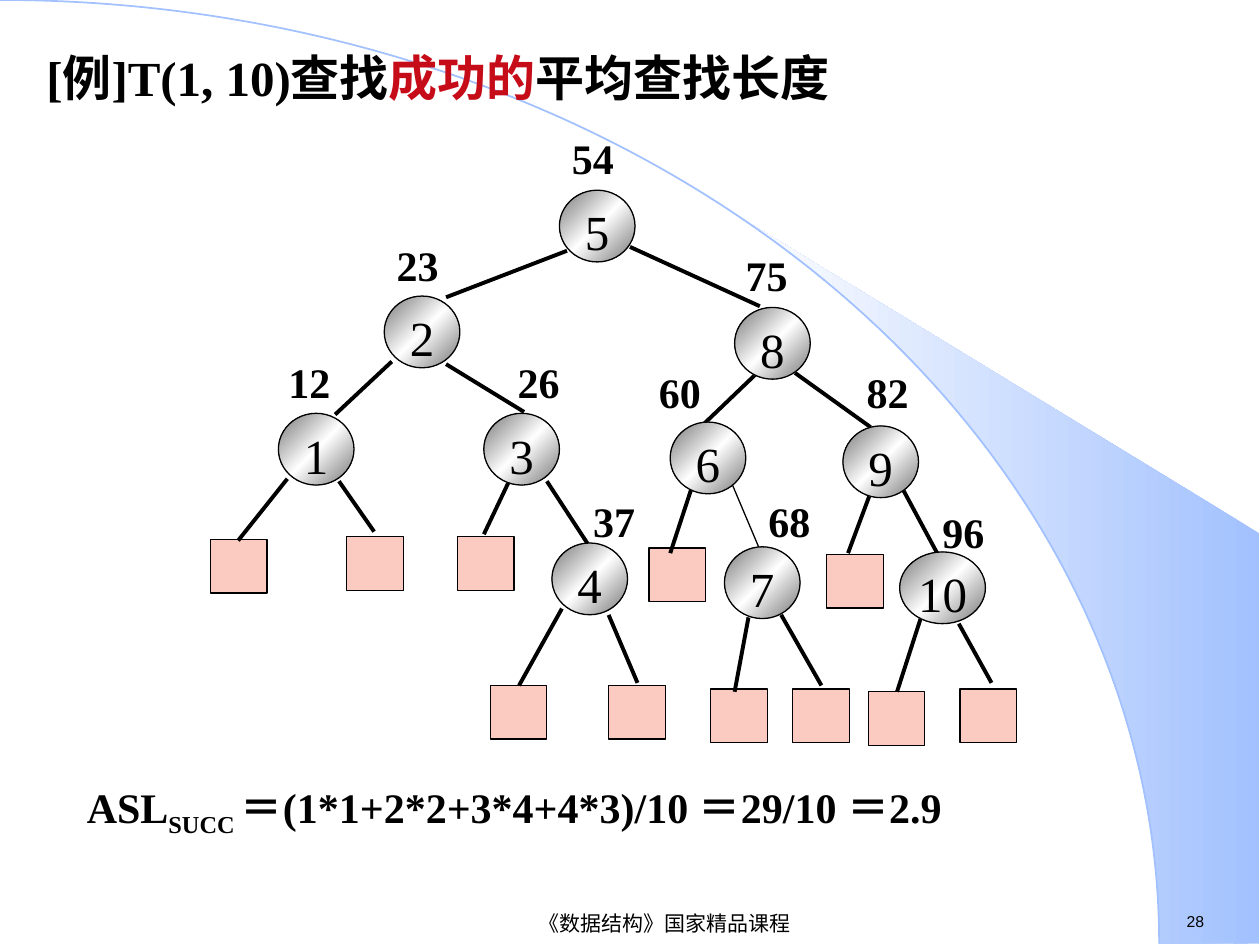
import math

import pptx
import pptx.util
from pptx.dml.color import RGBColor
from pptx.enum.shapes import MSO_CONNECTOR, MSO_SHAPE
from pptx.enum.text import MSO_ANCHOR, PP_ALIGN
from pptx.oxml.ns import qn
from pptx.oxml.xmlchemy import OxmlElement

Pt = pptx.util.Pt

THEME = {
    "black": "000000", "red": "C60C19", "blue": "A2C1FE", "pale": "FEFEFE",
    "pink": "FBCBC1", "gray": "757575", "white": "FFFFFF",
    "serif": "Times New Roman", "sans": "Arial",
    "title": 28, "key": 28, "value": 24, "footer": 12, "number": 9,
}


def write(sp, runs, size, font="serif", bold=False, align=PP_ALIGN.LEFT,
          anchor=MSO_ANCHOR.TOP, inset=(7.2, 3.6)):
    """Fill a shape with one paragraph of (text, colour, baseline) runs."""
    tf = sp.text_frame
    dx, dy = inset
    frame = {"word_wrap": True, "vertical_anchor": anchor,
             "margin_left": Pt(dx), "margin_right": Pt(dx),
             "margin_top": Pt(dy), "margin_bottom": Pt(dy)}
    for name, value in frame.items():
        setattr(tf, name, value)
    p = tf.paragraphs[0]
    p.alignment = align
    for text, color, baseline in runs:
        r = p.add_run()
        r.text = text
        style = {"name": THEME[font], "size": Pt(THEME[size]), "bold": bold}
        for name, value in style.items():
            setattr(r.font, name, value)
        r.font.color.rgb = RGBColor.from_string(THEME[color])
        if baseline:
            r.font._element.set("baseline", str(baseline * 1000))


def shade(sp, colors, angle):
    """Give a shape a linear gradient with evenly spaced colours."""
    sp.fill.gradient()
    sp.fill.gradient_angle = angle
    stops = sp._element.spPr.find(".//" + qn("a:gsLst"))
    for gs in list(stops):
        stops.remove(gs)
    for i, color in enumerate(colors):
        gs = OxmlElement("a:gs")
        gs.set("pos", str(100000 * i // (len(colors) - 1)))
        clr = OxmlElement("a:srgbClr")
        clr.set("val", THEME[color])
        gs.append(clr)
        stops.append(gs)


prs = pptx.Presentation()
prs.slide_width, prs.slide_height = Pt(720), Pt(540)
s = prs.slides.add_slide(prs.slide_layouts[6])
black, blue, pink = (RGBColor.from_string(THEME[c]) for c in ("black", "blue", "pink"))

# Background: quarter ellipse and the shaded wedge that follows it
rx, ry = 662.4, 539.2
start = math.asin(424 / rx)
steps = 24
angles = [start + (math.pi / 2 - start) * i / steps for i in range(steps + 1)]
rim = [(Pt(rx * math.sin(a)), Pt(ry * (1 - math.cos(a)))) for a in angles]
builder = s.shapes.build_freeform(*rim[0])
builder.add_line_segments(rim[1:] + [(Pt(719.3), Pt(ry)), (Pt(719.3), Pt(304.6))])
wedge = builder.convert_to_shape()
wedge.shadow.inherit = False
wedge.line.fill.background()
shade(wedge, ["blue", "pale"], 180)

arc = s.shapes.add_shape(MSO_SHAPE.ARC, Pt(-rx), 0, Pt(2 * rx), Pt(2 * ry))
arc.shadow.inherit = False
arc.fill.background()
arc.line.color.rgb = blue
arc.line.width = Pt(1)

# Title, formula and footer
texts = [
    ((19.4, 23.8, 522, 44.6),
     [("[例]T(1, 10)查找", "black", 0), ("成功的", "red", 0), ("平均查找长度", "black", 0)],
     {"size": "title", "bold": True}),
    ((42.5, 442.8, 600, 40.3),
     [("ASL", "black", 0), ("SUCC ", "black", -25),
      ("＝(1*1+2*2+3*4+4*3)/10 ＝29/10 ＝2.9", "black", 0)],
     {"size": "value", "bold": True}),
    ((172.8, 519, 414, 17.3), [("《数据结构》国家精品课程", "black", 0)],
     {"size": "footer", "font": "sans", "align": PP_ALIGN.CENTER,
      "anchor": MSO_ANCHOR.MIDDLE}),
    ((671, 517.7, 48, 18), [("28", "black", 0)], {"size": "number", "font": "sans"}),
]
for box, runs, style in texts:
    write(s.shapes.add_textbox(*map(Pt, box)), runs, **style)

# External nodes: left, top
leaves = [
    (120.2, 308.2), (198, 306.7), (261.4, 306.7), (370.8, 313.2), (472.3, 316.8),
    (280.1, 391.7), (347.8, 391.7), (406.1, 393.8), (452.9, 393.8),
    (496.1, 395.3), (548.6, 393.8),
]
for x, y in leaves:
    sp = s.shapes.add_shape(MSO_SHAPE.RECTANGLE, Pt(x), Pt(y), Pt(32.4), Pt(30.7))
    sp.shadow.inherit = False
    sp.fill.solid()
    sp.fill.fore_color.rgb = pink
    sp.line.color.rgb = black
    sp.line.width = Pt(0.75)

# Branches: x1, y1, x2, y2, width
THICK, THIN = 2.25, 0.75
branches = [
    (324, 143.3, 254.9, 169.9, THICK), (360, 141.1, 434.2, 175, THICK),
    (223.9, 206.6, 191.5, 236.9, THICK), (254.9, 208.1, 299.5, 235.4, THICK),
    (432.7, 213.1, 400.3, 244.1, THICK), (454.3, 213.1, 497.5, 244.1, THICK),
    (164.2, 273.6, 136.1, 308.9, THICK), (193.7, 275, 213.8, 303.8, THICK),
    (290.9, 275, 276.5, 305.3, THICK), (312.5, 275, 337, 312.5, THICK),
    (395.3, 278.6, 383, 316.1, THICK), (418.3, 276.5, 435.6, 317.5, THIN),
    (497.5, 281.5, 484.6, 316.1, THICK), (516.2, 280.1, 537.1, 319, THICK),
    (321.1, 347.8, 296.6, 391.7, THICK), (347.8, 351.4, 364.3, 390.2, THICK),
    (427.7, 352.8, 419.8, 395.3, THICK), (446.4, 351.4, 469.4, 391.7, THICK),
    (526.3, 352.8, 512.6, 395.3, THICK), (547.9, 356.4, 566.6, 390.2, THICK),
]
for *ends, width in branches:
    line = s.shapes.add_connector(MSO_CONNECTOR.STRAIGHT, *map(Pt, ends))
    line.line.color.rgb = black
    line.line.width = Pt(width)
    line._element.spPr.append(OxmlElement("a:effectLst"))

# Internal nodes: key, left, top, then value, left, top
nodes = [
    ("5", 319.7, 108.7, "54", 319.7, 72),
    ("2", 219.6, 169.2, "23", 219.6, 133.2),
    ("8", 419.8, 175.7, "75", 419, 139),
    ("1", 159.1, 236.2, "12", 157.7, 200.2),
    ("3", 276.5, 236.2, "26", 288.7, 200.2),
    ("6", 383, 241.2, "60", 369.4, 205.9),
    ("9", 481.7, 243.4, "82", 488.2, 205.9),
    ("4", 315.4, 310.3, "37", 331.9, 279.4),
    ("7", 414, 312.5, "68", 432, 279.4),
    ("10", 514.1, 315.4, "96", 531.4, 285.8),
]
for key, x, y, value, label_x, label_y in nodes:
    width = 43.2 if len(key) == 1 else 49
    sp = s.shapes.add_shape(MSO_SHAPE.OVAL, Pt(x), Pt(y), Pt(width), Pt(41))
    sp.shadow.inherit = False
    shade(sp, ["gray", "white", "gray"], 135)
    sp.line.color.rgb = black
    sp.line.width = Pt(0.75)
    write(sp, [(key, "black", 0)], "key", align=PP_ALIGN.CENTER, inset=(1.44, 0.72))
    label = s.shapes.add_textbox(Pt(label_x), Pt(label_y), Pt(44), Pt(36))
    write(label, [(value, "black", 0)], "value", bold=True)

prs.save("out.pptx")
